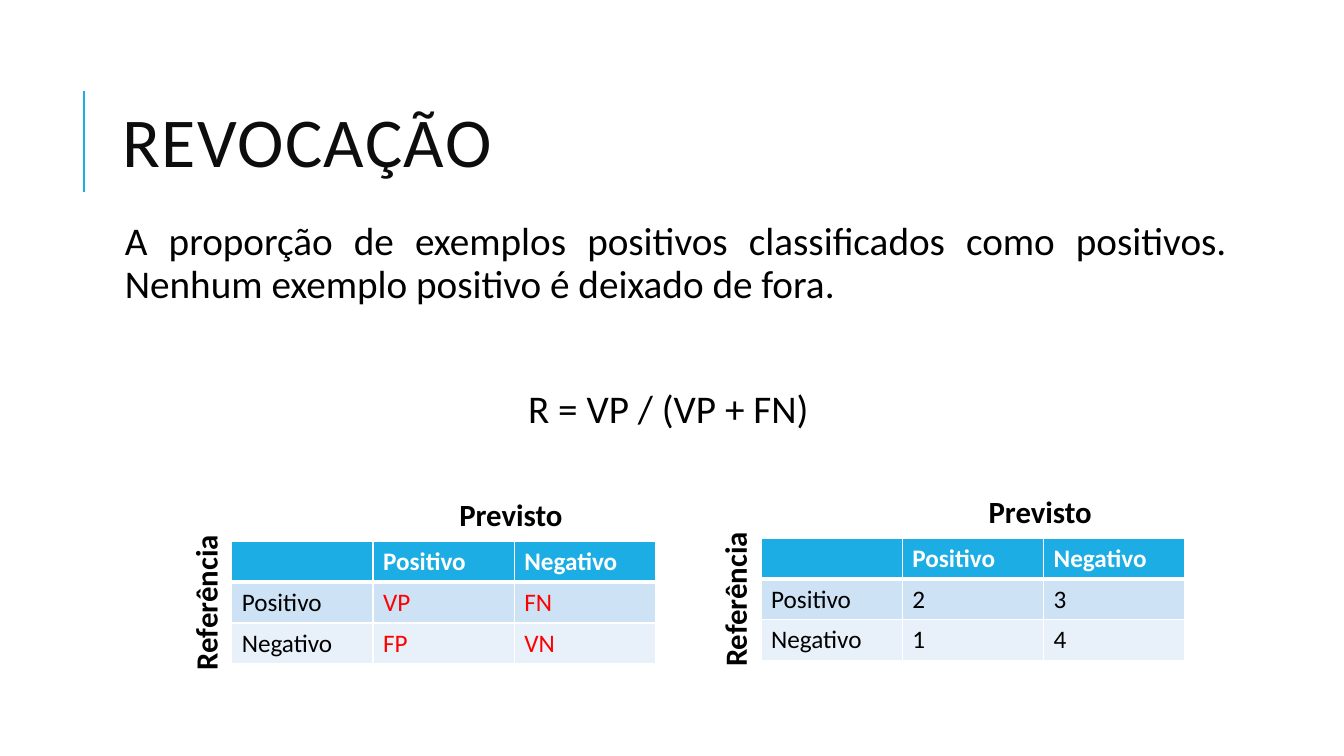
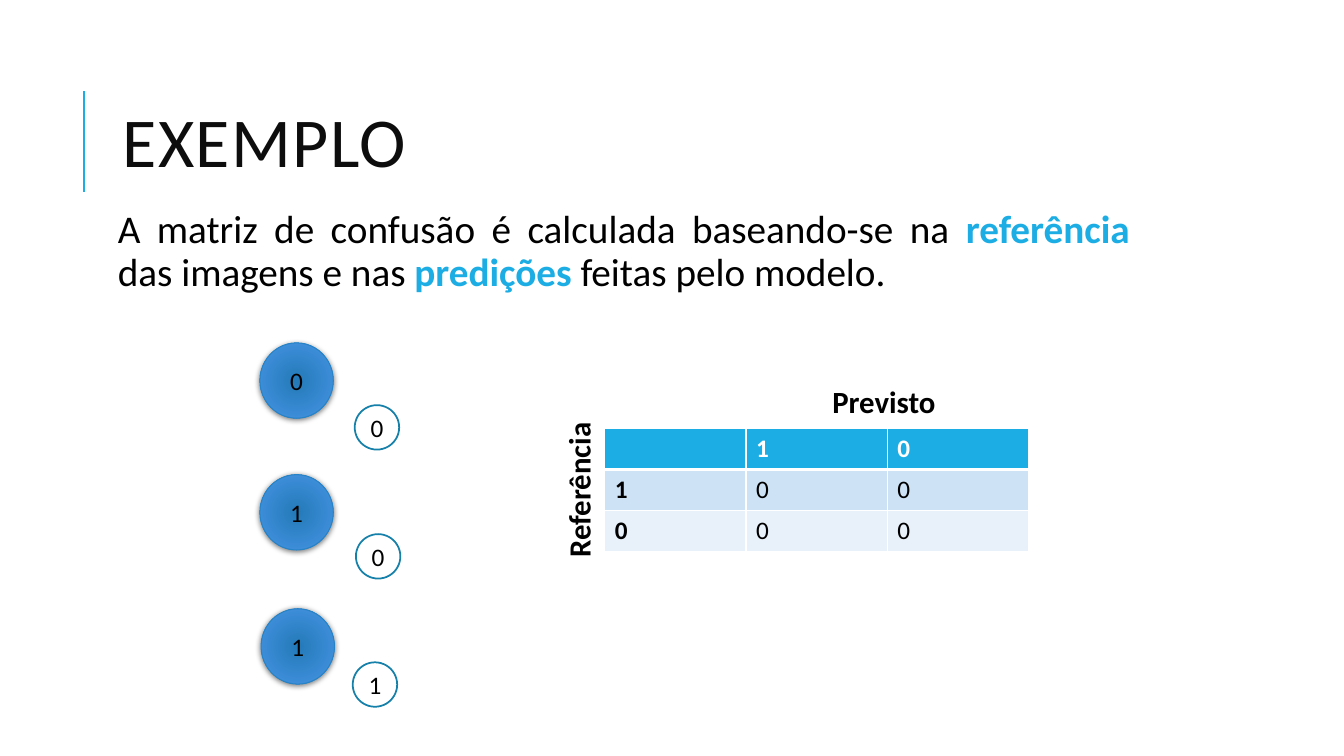
from dataclasses import dataclass

import lxml.etree
import pptx
import pptx.dml.color
import pptx.enum.shapes
import pptx.enum.text
import pptx.oxml
import pptx.oxml.ns
import pptx.presentation
import pptx.shapes.autoshape
import pptx.slide
import pptx.table
import pptx.text.text
import pptx.util

Cm = pptx.util.Cm
Pt = pptx.util.Pt
Align = pptx.enum.text.PP_ALIGN
Anchor = pptx.enum.text.MSO_ANCHOR
qn = pptx.oxml.ns.qn

FONT = "Calibri"
ACCENT = "1CADE4"
TITLE_INK = "0D0D0D"
BLACK = "000000"
WHITE = "FFFFFF"
RED = "FF0000"
ROW_FILLS = (ACCENT, "CDE3F5", "E8F1FA")
BALL_CENTRE, BALL_EDGE, BALL_LINE = "237AB8", "4895E7", "2683C6"
TAG_LINE = "1580A9"

COLUMN_WIDTH, ROW_HEIGHT = 3.56, 1.03
CAPTION_HEIGHT = 1.19
BALL_WIDTH, BALL_HEIGHT = 1.85, 1.9
TAG_SIZE = 1.12
NAMESPACE = 'xmlns:a="http://schemas.openxmlformats.org/drawingml/2006/main"'


@dataclass(frozen=True)
class Box:
    """A rectangle in centimetres."""
    left: float
    top: float
    width: float
    height: float

    def lengths(self) -> tuple[pptx.util.Cm, ...]:
        return Cm(self.left), Cm(self.top), Cm(self.width), Cm(self.height)


@dataclass(frozen=True)
class Span:
    text: str
    strong: bool = False


@dataclass(frozen=True)
class Matrix:
    """A confusion matrix with its two axis captions."""
    left: float
    top: float
    classes: tuple[str, str]
    values: tuple[tuple[str, str], tuple[str, str]]
    value_color: str = BLACK
    bold_classes: bool = False


@dataclass(frozen=True)
class Example:
    """A ball showing the reference class and a tag showing the predicted one."""
    reference: str
    ball_at: tuple[float, float]
    predicted: str
    tag_at: tuple[float, float]


MATRICES = (
    Matrix(5.84, 13.64, ("Positivo", "Negativo"), (("VP", "FN"), ("FP", "VN")), RED),
    Matrix(19.18, 13.56, ("Positivo", "Negativo"), (("2", "3"), ("1", "4"))),
)
EMPTY_MATRIX = Matrix(15.24, 10.8, ("1", "0"), (("0", "0"), ("0", "0")),
                      bold_classes=True)
EXAMPLES = (
    Example("0", (6.55, 8.64), "0", (8.94, 10.21)),
    Example("1", (6.55, 11.96), "0", (8.97, 13.46)),
    Example("1", (6.58, 15.34), "1", (8.89, 16.69)),
)


def rgb(color: str) -> pptx.dml.color.RGBColor:
    return pptx.dml.color.RGBColor.from_string(color)


def xml(markup: str) -> lxml.etree._Element:
    """Parse one DrawingML element, whose start tag holds {ns}."""
    return pptx.oxml.parse_xml(markup.replace("{ns}", NAMESPACE))


def style(para: pptx.text.text._Paragraph, size: float, color: str = BLACK,
          bold: bool = False, align: Align = Align.LEFT) -> None:
    para.alignment = align
    para.font.name = FONT
    para.font.size = Pt(size)
    para.font.bold = bold
    para.font.color.rgb = rgb(color)


def set_insets(frame: pptx.text.text.TextFrame, inset: float) -> None:
    frame.margin_left = frame.margin_right = Cm(inset)
    frame.margin_top = frame.margin_bottom = Cm(inset)


def add_text_box(page: pptx.slide.Slide, box: Box) -> pptx.shapes.autoshape.Shape:
    shape = page.shapes.add_textbox(*box.lengths())
    shape.text_frame.word_wrap = True
    return shape


def add_page(deck: pptx.presentation.Presentation, title: str) -> pptx.slide.Slide:
    """Add a blank page with the accent rule and the title."""
    page = deck.slides.add_slide(deck.slide_layouts[6])
    rule = page.shapes.add_connector(pptx.enum.shapes.MSO_CONNECTOR.STRAIGHT,
                                     Cm(2.11), Cm(4.83), Cm(2.11), Cm(2.29))
    rule.line.color.rgb = rgb(ACCENT)
    rule.line.width = Pt(1.5)
    rule._element.spPr.append(xml("<a:effectLst {ns}/>"))

    frame = add_text_box(page, Box(2.84, 1.63, 27, 4.17)).text_frame
    frame.vertical_anchor = Anchor.MIDDLE
    para = frame.paragraphs[0]
    para.line_spacing = 0.8
    style(para, 50, TITLE_INK)
    span = para.add_run()
    span.text = title
    span._r.get_or_add_rPr().set("spc", "100")
    return page


def style_body(para: pptx.text.text._Paragraph, space_before: float = 12) -> None:
    style(para, 28, align=Align.JUSTIFY)
    para.line_spacing = 0.9
    para.space_before = Pt(space_before)
    para.space_after = Pt(2)


def add_body(page: pptx.slide.Slide, box: Box,
             spans: tuple[Span, ...]) -> pptx.text.text.TextFrame:
    frame = add_text_box(page, box).text_frame
    set_insets(frame, 0.13)
    para = frame.paragraphs[0]
    style_body(para)
    for part in spans:
        span = para.add_run()
        span.text = part.text
        if part.strong:
            span.font.bold = True
            span.font.color.rgb = rgb(ACCENT)
    return frame


def add_formula(frame: pptx.text.text.TextFrame, formula: str) -> None:
    para = frame.add_paragraph()
    para.text = formula
    style_body(para, space_before=57)
    para._p.get_or_add_pPr().set("marL", str(Cm(10.16)))


def add_caption(page: pptx.slide.Slide, text: str, box: Box, rotation: int = 0) -> None:
    shape = add_text_box(page, box)
    shape.rotation = rotation
    para = shape.text_frame.paragraphs[0]
    para.text = text
    style(para, 22, bold=True, align=Align.CENTER)


def set_borders(cell: pptx.table._Cell, widths: dict[str, int]) -> None:
    properties = cell._tc.get_or_add_tcPr()
    for side, width in widths.items():
        properties.append(xml(
            f'<a:ln{side} {{ns}} w="{Pt(width)}"><a:solidFill>'
            f'<a:srgbClr val="{WHITE}"/></a:solidFill></a:ln{side}>'))


def add_matrix(page: pptx.slide.Slide, matrix: Matrix) -> None:
    rows = [("", *matrix.classes)]
    rows += [(name, *values) for name, values in zip(matrix.classes, matrix.values)]
    box = Box(matrix.left, matrix.top, 3 * COLUMN_WIDTH, 3 * ROW_HEIGHT)
    table = page.shapes.add_table(3, 3, *box.lengths()).table
    for column in table.columns:
        column.width = Cm(COLUMN_WIDTH)
    for row_index, row in enumerate(rows):
        table.rows[row_index].height = Cm(ROW_HEIGHT)
        is_header = row_index == 0
        for column_index, text in enumerate(row):
            is_class = column_index == 0
            cell = table.cell(row_index, column_index)
            set_borders(cell, {"L": 1, "R": 1, "T": 3 if row_index == 1 else 1,
                               "B": 3 if is_header else 1})
            cell.fill.solid()
            cell.fill.fore_color.rgb = rgb(ROW_FILLS[row_index])
            para = cell.text_frame.paragraphs[0]
            para.text = text
            color = WHITE if is_header else BLACK if is_class else matrix.value_color
            style(para, 18, color, is_header or (is_class and matrix.bold_classes))

    add_caption(page, "Previsto",
                Box(matrix.left + 3.68, matrix.top - 1.27, 6.71, CAPTION_HEIGHT))
    side_width = 5.69
    add_caption(page, "Referência",
                Box(matrix.left - 0.66 - side_width / 2,
                    matrix.top + (box.height - CAPTION_HEIGHT) / 2,
                    side_width, CAPTION_HEIGHT), rotation=270)


def add_circle(page: pptx.slide.Slide, box: Box, digit: str, line_color: str,
               line_width: float) -> pptx.shapes.autoshape.Shape:
    circle = page.shapes.add_shape(pptx.enum.shapes.MSO_SHAPE.OVAL, *box.lengths())
    circle.shadow.inherit = False
    circle.line.color.rgb = rgb(line_color)
    circle.line.width = Pt(line_width)
    frame = circle.text_frame
    set_insets(frame, 0)
    frame.vertical_anchor = Anchor.MIDDLE
    para = frame.paragraphs[0]
    para.text = digit
    style(para, 18, align=Align.CENTER)
    return circle


def add_tag(page: pptx.slide.Slide, example: Example) -> None:
    tag = add_circle(page, Box(*example.tag_at, TAG_SIZE, TAG_SIZE),
                     example.predicted, TAG_LINE, 1.25)
    tag.fill.solid()
    tag.fill.fore_color.rgb = rgb(WHITE)


def add_ball(page: pptx.slide.Slide, example: Example) -> None:
    """Draw a circle with a radial gradient and a soft shadow."""
    ball = add_circle(page, Box(*example.ball_at, BALL_WIDTH, BALL_HEIGHT),
                      example.reference, BALL_LINE, 0.75)
    ball.fill.gradient()
    for stop, color, position in zip(ball.fill.gradient_stops,
                                     (BALL_CENTRE, BALL_EDGE), (0, 1)):
        stop.color.rgb = rgb(color)
        stop.position = position
    properties = ball._element.spPr
    gradient = properties.find(qn("a:gradFill"))
    gradient.replace(gradient.find(qn("a:lin")), xml(
        '<a:path {ns} path="circle">'
        '<a:fillToRect l="50000" t="50000" r="50000" b="50000"/></a:path>'))
    properties.find(qn("a:effectLst")).append(xml(
        f'<a:outerShdw {{ns}} blurRad="{Pt(4)}" dist="{Pt(1)}" dir="5400000" '
        f'rotWithShape="0"><a:srgbClr val="{BLACK}"><a:alpha val="50000"/>'
        '</a:srgbClr></a:outerShdw>'))


def add_recall_page(deck: pptx.presentation.Presentation) -> None:
    page = add_page(deck, "REVOCAÇÃO")
    frame = add_body(page, Box(3.02, 5.46, 28.02, 11.73), (
        Span("A proporção de exemplos positivos classificados como positivos. "
             "Nenhum exemplo positivo é deixado de fora."),))
    add_formula(frame, "R = VP / (VP + FN)")
    for matrix in MATRICES:
        add_matrix(page, matrix)


def add_example_page(deck: pptx.presentation.Presentation) -> None:
    page = add_page(deck, "EXEMPLO")
    add_body(page, Box(2.84, 5.16, 25.76, 13.49), (
        Span("A matriz de confusão é calculada baseando-se na "),
        Span("referência", strong=True),
        Span(" das imagens e nas "),
        Span("predições", strong=True),
        Span(" feitas pelo modelo."),
    ))
    for example in EXAMPLES:
        add_tag(page, example)
        add_ball(page, example)
    add_matrix(page, EMPTY_MATRIX)


def main() -> None:
    deck = pptx.Presentation()
    deck.slide_width, deck.slide_height = Cm(33.87), Cm(19.05)
    add_recall_page(deck)
    add_example_page(deck)
    deck.save("out.pptx")


if __name__ == "__main__":
    main()
